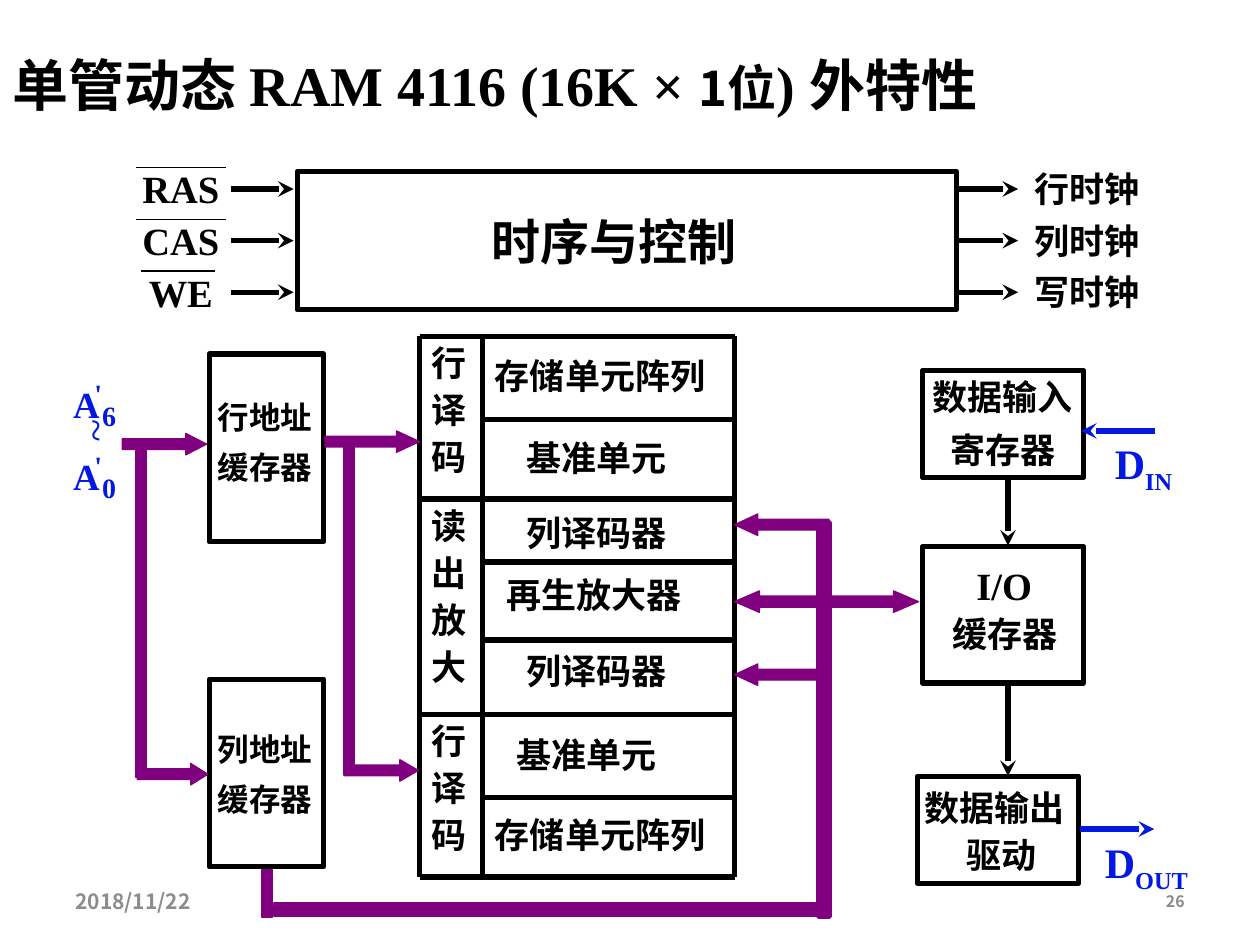
from lxml.etree import SubElement
from pptx import Presentation
from pptx.dml.color import RGBColor
from pptx.enum.shapes import MSO_CONNECTOR, MSO_SHAPE
from pptx.enum.text import MSO_ANCHOR, PP_ALIGN
from pptx.oxml.ns import qn
from pptx.util import Inches, Pt

COLORS = {"ink": "000000", "bus": "800080", "pin": "0419E0",
          "date": "8C8C8C", "number": "898989"}
HAN = "Noto Sans CJK SC"
LATIN = "Times New Roman"


def color(name):
    return RGBColor.from_string(COLORS[name])


def style_font(font, size, face=HAN, tint="ink", bold=True):
    font.size = Pt(size)
    font.bold = bold
    font.name = face
    font.color.rgb = color(tint)


def add_east_asian_face(properties):
    SubElement(properties, qn("a:ea")).set("typeface", HAN)


def add_text(page, lines, left, top, width, height, size, face=HAN, tint="ink",
             bold=True, align=PP_ALIGN.CENTER, inset=0, pitch=None, wrap=False):
    box = page.shapes.add_textbox(*map(Inches, (left, top, width, height)))
    frame = box.text_frame
    frame.word_wrap = wrap
    frame.vertical_anchor = MSO_ANCHOR.TOP if pitch else MSO_ANCHOR.MIDDLE
    frame.margin_left = frame.margin_right = Inches(inset)
    frame.margin_top = frame.margin_bottom = 0
    for index, line in enumerate(lines):
        para = frame.paragraphs[0] if index == 0 else frame.add_paragraph()
        para.alignment = align
        if pitch:
            para.line_spacing = Pt(pitch)
        style_font(para.font, size, face, tint, bold)
        add_east_asian_face(para._p.pPr.find(qn("a:defRPr")))
        para.add_run().text = line
    return box


def add_line(page, x1, y1, x2, y2, width=3, tint="ink", arrow=False):
    line = page.shapes.add_connector(
        MSO_CONNECTOR.STRAIGHT, *map(Inches, (x1, y1, x2, y2)))
    line.line.width = Pt(width)
    line.line.color.rgb = color(tint)
    if arrow:
        SubElement(line.line._get_or_add_ln(), qn("a:tailEnd")).set("type", "stealth")
    SubElement(line._element.spPr, qn("a:effectLst"))


def add_block(page, left, top, width, height):
    block = page.shapes.add_shape(
        MSO_SHAPE.RECTANGLE, *map(Inches, (left, top, width, height)))
    block.shadow.inherit = False
    block.fill.background()
    block.line.width = Pt(3)
    block.line.color.rgb = color("ink")


def add_bus(page, left, top, width, height, kind=MSO_SHAPE.RECTANGLE,
            outline=0.75, adjustments=()):
    bus = page.shapes.add_shape(kind, *map(Inches, (left, top, width, height)))
    bus.shadow.inherit = False
    bus.fill.solid()
    bus.fill.fore_color.rgb = color("bus")
    bus.line.width = Pt(outline)
    bus.line.color.rgb = color("bus")
    for index, value in enumerate(adjustments):
        bus.adjustments[index] = value


def add_title(page):
    title = page.shapes.title
    title.left, title.top, title.width, title.height = map(Inches, (0, 0.35, 8.92, 0.63))
    title.text_frame.vertical_anchor = MSO_ANCHOR.MIDDLE
    para = title.text_frame.paragraphs[0]
    para.alignment = PP_ALIGN.LEFT
    for text, size, face in (("单管动态 RAM 4116 (16K × ", 32, LATIN),
                             ("1位", 28, HAN), (") 外特性", 32, LATIN)):
        span = para.add_run()
        span.text = text
        style_font(span.font, size, face)
        add_east_asian_face(span._r.get_or_add_rPr())


def add_timing(page):
    add_block(page, 2.36, 1.36, 5.23, 1.1)
    add_text(page, ["时序与控制"], 3.8, 1.68, 2.15, 0.47, 28)
    signals = (("RAS", "行时钟", 1.08, 1.79), ("CAS", "列时钟", 1.08, 1.79),
               ("WE", "写时钟", 1.12, 1.71))
    for index, (signal, clock, start, end) in enumerate(signals):
        shift = 0.41 * index
        add_text(page, [signal], 1.13, 1.31 + shift, 0.61, 0.37, 22, LATIN)
        add_line(page, start, 1.33 + shift, end, 1.33 + shift, 0.75)
        add_text(page, [clock], 8.21, 1.33 + shift, 0.84, 0.33, 20)
        for x in (1.83, 7.58):
            add_line(page, x, 1.5 + shift, x + 0.5, 1.5 + shift, arrow=True)


def add_address_buffers(page):
    for name, top, text_top in (("行地址", 2.81, 3.06), ("列地址", 5.39, 5.7)):
        add_block(page, 1.66, top, 0.91, 1.49)
        add_text(page, [name, "缓存器"], 1.63, text_top, 1.26, 0.8, 18,
                 align=PP_ALIGN.LEFT, inset=0.1, pitch=28.6)
    for digit, top in (("6", 3.03), ("0", 3.6)):
        add_text(page, ["A"], 0.58, top, 0.21, 0.35, 21, LATIN, "pin")
        add_text(page, ["'"], 0.75, top - 0.04, 0.06, 0.27, 16, LATIN, "pin")
        add_text(page, [digit], 0.81, top + 0.13, 0.11, 0.27, 16, LATIN, "pin")
    tilde = add_text(page, ["~"], 0.48, 3.33, 0.61, 0.42, 24, LATIN, "pin", bold=False)
    tilde._element.txBody.bodyPr.set("vert", "eaVert")


def add_memory(page):
    rows = (("存储单元阵列", 3.83, 2.98), ("基准单元", 4.08, 3.63),
            ("列译码器", 4.08, 4.23), ("再生放大器", 3.92, 4.72),
            ("列译码器", 4.08, 5.32), ("基准单元", 4, 5.99),
            ("存储单元阵列", 3.83, 6.62))
    for name, left, center in rows:
        add_text(page, [name], left, center - 0.25, 2, 0.5, 20,
                 align=PP_ALIGN.LEFT, inset=0.1, wrap=True)
    for name, top, height in (("行译码", 2.67, 1.29), ("读出放大", 3.96, 1.71),
                              ("行译码", 5.67, 1.29)):
        add_text(page, name, 3.33, top, 0.5, height, 20,
                 align=PP_ALIGN.LEFT, inset=0.1, pitch=26.9, wrap=True)
    for y in (2.67, 3.96, 5.67, 6.96):
        add_line(page, 3.33, y, 5.83, y)
    for y in (3.33, 4.46, 5.08, 6.33):
        add_line(page, 3.83, y, 5.83, y)
    for x in (3.33, 3.83, 5.83):
        add_line(page, x, 2.67, x, 6.96)


def add_data_path(page):
    for left, top, height in ((7.32, 2.94, 0.85), (7.32, 4.34, 1.08), (7.28, 6.16, 0.85)):
        add_block(page, left, top, 1.28, height)
    add_text(page, ["I/O"], 7.54, 4.46, 0.86, 0.37, 22, LATIN)
    for text, left, top, width in (("数据输入", 7.4, 2.98, 1.12), ("寄存器", 7.54, 3.4, 0.84),
                                   ("缓存器", 7.56, 4.86, 0.84), ("数据输出", 7.33, 6.24, 1.12),
                                   ("驱动", 7.67, 6.62, 0.56)):
        add_text(page, [text], left, top, width, 0.33, 20)
    add_line(page, 8, 3.79, 8, 4.33, arrow=True)
    add_line(page, 8, 5.41, 8, 6.16, arrow=True)
    add_line(page, 9.17, 3.42, 8.58, 3.42, tint="pin", arrow=True)
    add_line(page, 8.57, 6.58, 9.16, 6.58, tint="pin", arrow=True)
    for suffix, left, top, width in (("IN", 8.75, 3.45, 0.83), ("OUT", 8.67, 6.62, 1.25)):
        pin = add_text(page, ["D"], left, top, width, 0.5, 24, LATIN, "pin",
                       align=PP_ALIGN.LEFT, inset=0.1, wrap=True)
        span = pin.text_frame.paragraphs[0].add_run()
        span.text = suffix
        span._r.get_or_add_rPr().set("baseline", "-25000")


def add_buses(page):
    for left, top, width, height, outline in (
            (1.08, 3.5, 0.08, 2.67, 0.75), (2.73, 3.48, 0.08, 2.67, 0.75),
            (2.08, 6.9, 0.08, 0.38, 0.75), (6.5, 4.15, 0.08, 3.12, 3),
            (2.18, 7.18, 4.32, 0.08, 3)):
        add_bus(page, left, top, width, height, outline=outline)
    for left, top, width, head in ((0.97, 3.44, 0.67, 0.97), (1.09, 6.06, 0.56, 0.8),
                                   (2.58, 3.42, 0.75, 1.08), (2.73, 6.03, 0.59, 0.86)):
        add_bus(page, left, top, width, 0.17, MSO_SHAPE.RIGHT_ARROW, adjustments=(0.5, head))
    for top in (4.08, 5.27):
        add_bus(page, 5.83, top, 0.75, 0.17, MSO_SHAPE.LEFT_ARROW, adjustments=(0.5, 1.08))
    add_bus(page, 5.83, 4.69, 1.46, 0.17, MSO_SHAPE.LEFT_RIGHT_ARROW,
            adjustments=(0.52, 1.16))


def add_footer(page):
    add_text(page, ["2018/11/22"], 0.5, 6.95, 2.33, 0.4, 12, tint="date",
             align=PP_ALIGN.LEFT, inset=0.1, wrap=True)
    add_text(page, ["26"], 7.17, 6.95, 2.33, 0.4, 9, tint="number",
             align=PP_ALIGN.RIGHT, inset=0.1, wrap=True)


def main():
    deck = Presentation()
    deck.slide_width, deck.slide_height = Inches(10), Inches(7.5)
    page = deck.slides.add_slide(deck.slide_layouts[5])
    for add_part in (add_title, add_timing, add_address_buffers, add_memory,
                     add_data_path, add_buses, add_footer):
        add_part(page)
    deck.save("out.pptx")


if __name__ == "__main__":
    main()
